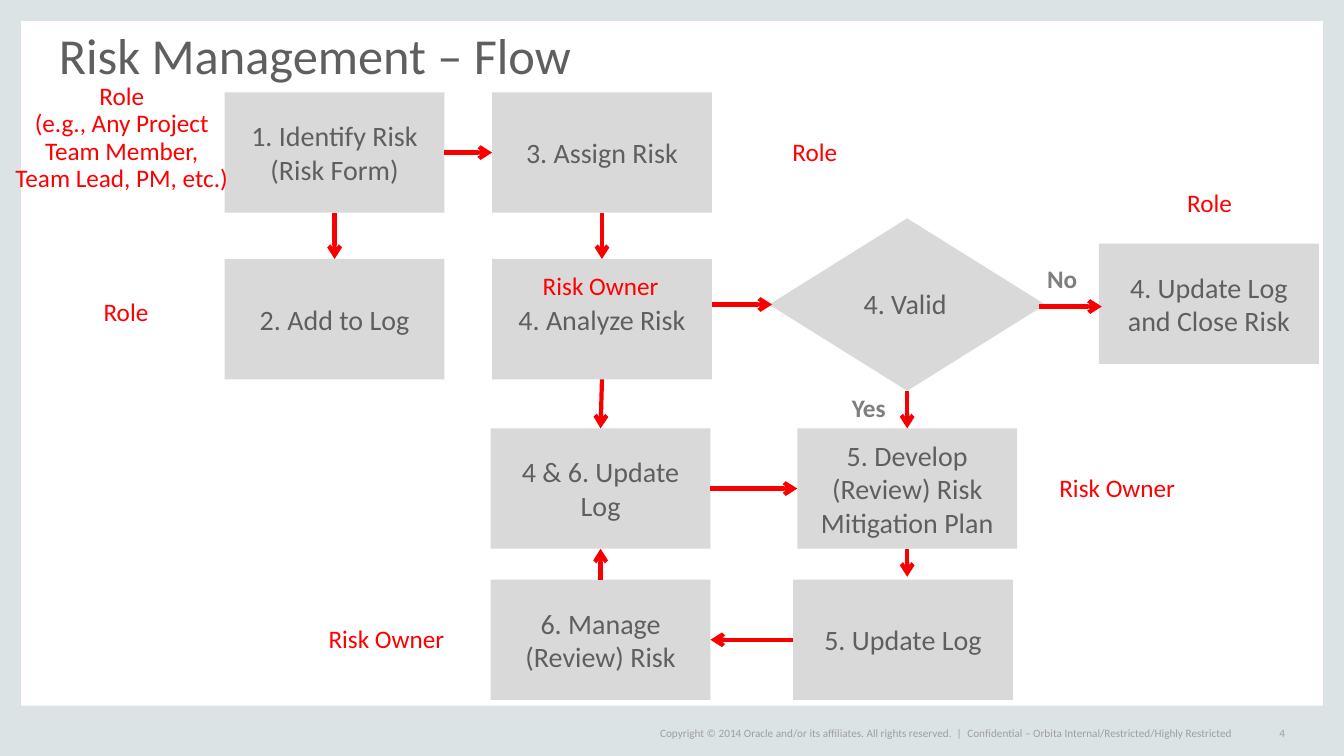
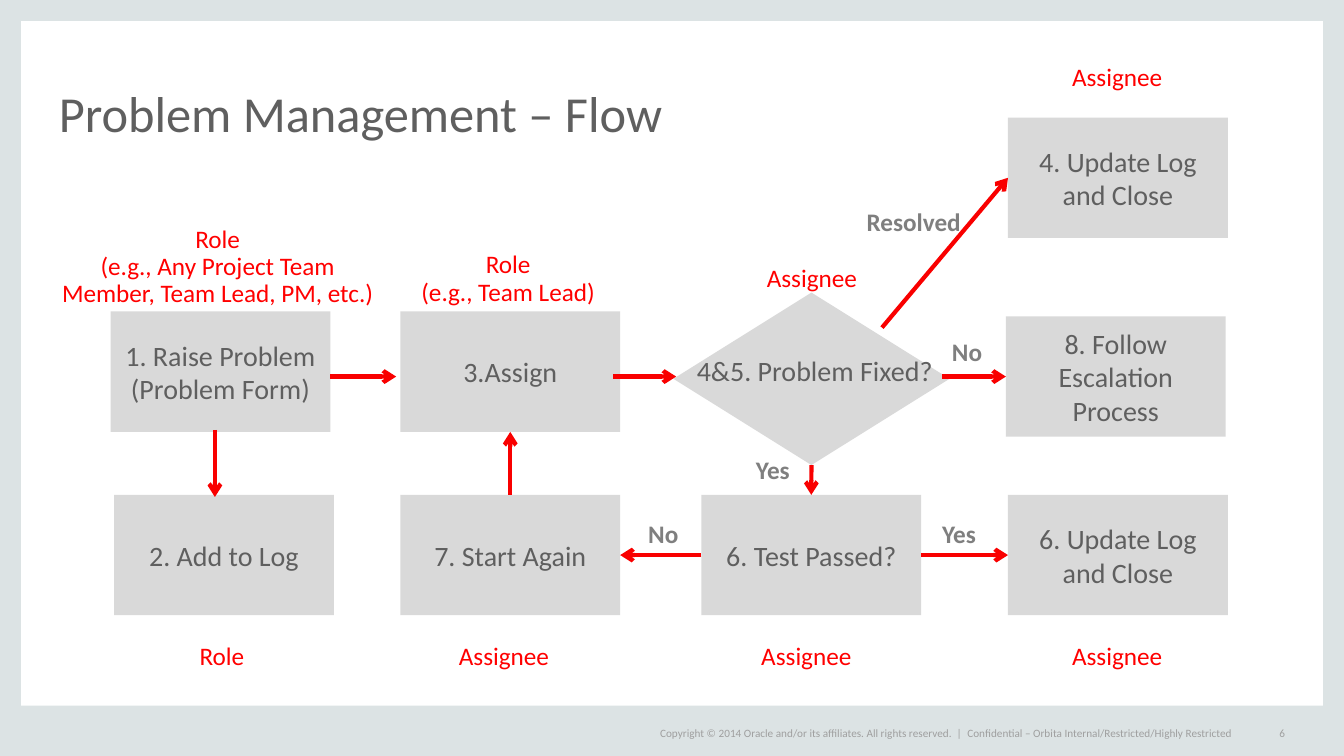
from pptx import Presentation
from pptx.dml.color import RGBColor
from pptx.enum.shapes import MSO_CONNECTOR, MSO_SHAPE
from pptx.enum.text import MSO_ANCHOR as ANCHOR, PP_ALIGN as ALIGN
from pptx.oxml.ns import qn
from pptx.util import Pt
from lxml import etree

COLORS = {
    "band": "DCE3E4", "box": "D9D9D9", "arrow": "F90000", "text": "5F5F5F",
    "role": "FF0000", "branch": "7F7F7F", "footer": "9F9F9F",
}
FONT = "Calibri"
SLIDE_W, SLIDE_H = 960, 540
BOX_W, BOX_H = 157, 86
DIAMOND_W, DIAMOND_H = 197.2, 123.2
TOP, LEFT, BOTTOM, RIGHT = range(4)

BANDS = [
    (0, 0, 15, SLIDE_H),
    (SLIDE_W - 15, 0, 15, SLIDE_H),
    (0, 504, SLIDE_W, 36),
    (0, 0, SLIDE_W, 15),
]
FOOTERS = [
    ("Copyright © 2014 Oracle and/or its affiliates. All rights reserved.  |", 471.5, 219),
    ("Confidential – Orbita Internal/Restricted/Highly Restricted", 691, 197),
]

# boxes: name -> (left, top, text); arrows: ends are (box name, side) or (x, y)
# roles and decision: (centre x, top, text); branches: (left, top, text)
SLIDES = [
    {
        "title": "Risk Management – Flow", "title_bottom": 60, "number": "4",
        "boxes": {
            "identify": (160.5, 66, "1. Identify Risk\n(Risk Form)"),
            "assign": (351.5, 66, "3. Assign Risk"),
            "add": (160.5, 185, "2. Add to Log"),
            "analyze": (351.5, 185, "4. Analyze Risk"),
            "close": (785, 174, "4. Update Log and Close Risk"),
            "update": (350.5, 306, "4 & 6. Update Log"),
            "develop": (569.5, 306, "5. Develop (Review) Risk Mitigation Plan"),
            "manage": (350.5, 414, "6. Manage (Review) Risk"),
            "log": (566.5, 414, "5. Update Log"),
        },
        "diamond": (549.4, 156),
        "decision": (646.5, 207.5, "4. Valid"),
        "arrows": [
            (("identify", RIGHT), ("assign", LEFT)),
            (("identify", BOTTOM), ("add", TOP)),
            (("assign", BOTTOM), ("analyze", TOP)),
            ((508.5, 217.5), (551.5, 217.5)),
            ((742, 219), (787, 219)),
            (("diamond", BOTTOM), ("develop", TOP)),
            (("analyze", BOTTOM), ("update", TOP)),
            (("update", RIGHT), ("develop", LEFT)),
            (("develop", BOTTOM), (648, 412)),
            (("log", LEFT), ("manage", RIGHT)),
            (("manage", TOP), ("update", BOTTOM)),
        ],
        "branches": [(608.5, 280, "Yes"), (748, 188, "No")],
        "roles": [
            (87, 60, "Role\n(e.g., Any Project\nTeam Member,\nTeam Lead, PM, etc.)"),
            (582, 100, "Role"),
            (864, 136, "Role"),
            (90, 214, "Role"),
            (429, 195.5, "Risk Owner"),
            (798, 340, "Risk Owner"),
            (276, 448, "Risk Owner"),
        ],
    },
    {
        "title": "Problem Management – Flow", "title_bottom": 101.5, "number": "6",
        "boxes": {
            "raise": (79, 222.5, "1. Raise Problem\n(Problem Form)"),
            "assign": (286, 222.5, "3.Assign"),
            "escalate": (718.5, 226, "8. Follow Escalation Process"),
            "resolved": (720, 84, "4. Update Log and Close"),
            "add": (81.5, 353.5, "2. Add to Log"),
            "again": (286, 353.5, "7. Start Again"),
            "test": (501, 353.5, "6. Test Passed?"),
            "passed": (720, 353.5, "6. Update Log and Close"),
        },
        "diamond": (481, 209),
        "decision": (582, 255, "4&5. Problem Fixed?"),
        "arrows": [
            ((236, 269), (283, 269)),
            ((438, 269), (483, 269)),
            ((153.5, 307), (153.5, 355)),
            ((673, 269), ("escalate", LEFT)),
            ((630, 234), ("resolved", LEFT)),
            (("diamond", BOTTOM), ("test", TOP)),
            (("test", RIGHT), ("passed", LEFT)),
            (("test", LEFT), ("again", RIGHT)),
            (("again", TOP), ("assign", BOTTOM)),
        ],
        "branches": [
            (540, 324.5, "Yes"), (680, 240, "No"), (619, 147.5, "Resolved"),
            (463, 370.5, "No"), (673, 370.5, "Yes"),
        ],
        "roles": [
            (155.5, 162, "Role\n(e.g., Any Project Team\nMember, Team Lead, PM, etc.)"),
            (363, 180, "Role\n(e.g., Team Lead)"),
            (798, 46, "Assignee"),
            (580, 190, "Assignee"),
            (158.5, 460, "Role"),
            (360, 460, "Assignee"),
            (576, 460, "Assignee"),
            (798, 460, "Assignee"),
        ],
    },
]


def write(sp, text, size, color, align=ALIGN.LEFT, anchor=ANCHOR.TOP,
          spacing=1.0, bold=False, inset=0, wrap=False):
    """Put text into a shape or text box, one paragraph per line."""
    tf = sp.text_frame
    tf.word_wrap, tf.vertical_anchor = wrap, anchor
    tf.margin_left = tf.margin_right = Pt(inset)
    tf.margin_top = tf.margin_bottom = Pt(inset / 2)
    tf.text = text
    for p in tf.paragraphs:
        p.alignment, p.line_spacing = align, spacing
        p.font.name, p.font.size, p.font.bold = FONT, Pt(size), bold
        p.font.color.rgb = RGBColor.from_string(COLORS[color])


def add_block(slide, kind, x, y, w, h, color):
    sp = slide.shapes.add_shape(kind, Pt(x), Pt(y), Pt(w), Pt(h))
    sp.shadow.inherit = False
    sp.fill.solid()
    sp.fill.fore_color.rgb = RGBColor.from_string(COLORS[color])
    sp.line.fill.background()
    return sp


prs = Presentation()
prs.slide_width, prs.slide_height = Pt(SLIDE_W), Pt(SLIDE_H)

for page in SLIDES:
    s = prs.slides.add_slide(prs.slide_layouts[6])

    # Bands, title and footer
    for band in BANDS:
        add_block(s, MSO_SHAPE.RECTANGLE, *band, "band")
    title = s.shapes.add_textbox(Pt(42), Pt(page["title_bottom"] - 42), Pt(876), Pt(42))
    write(title, page["title"], 36, "text", anchor=ANCHOR.BOTTOM, spacing=0.8, wrap=True)
    for text, x, w in FOOTERS:
        footer = s.shapes.add_textbox(Pt(x), Pt(516.5), Pt(w), Pt(14.5))
        write(footer, text, 8, "footer", anchor=ANCHOR.MIDDLE)
    number = s.shapes.add_textbox(Pt(888), Pt(516.5), Pt(30), Pt(14.5))
    write(number, page["number"], 8, "footer", ALIGN.RIGHT, ANCHOR.MIDDLE)

    # Steps and decision
    nodes = {}
    for name, (x, y, text) in page["boxes"].items():
        sp = add_block(s, MSO_SHAPE.RECTANGLE, x, y, BOX_W, BOX_H, "box")
        write(sp, text, 20, "text", ALIGN.CENTER, ANCHOR.MIDDLE, inset=7.2, wrap=True)
        nodes[name] = sp
    nodes["diamond"] = add_block(s, MSO_SHAPE.DIAMOND, *page["diamond"],
                                 DIAMOND_W, DIAMOND_H, "box")

    # Arrows
    for start, end in page["arrows"]:
        line = s.shapes.add_connector(MSO_CONNECTOR.STRAIGHT, 0, 0, 0, 0)
        if start[0] in nodes:
            line.begin_connect(nodes[start[0]], start[1])
        else:
            line.begin_x, line.begin_y = Pt(start[0]), Pt(start[1])
        if end[0] in nodes:
            line.end_connect(nodes[end[0]], end[1])
        else:
            line.end_x, line.end_y = Pt(end[0]), Pt(end[1])
        line.line.color.rgb = RGBColor.from_string(COLORS["arrow"])
        line.line.width = Pt(3)
        etree.SubElement(line.line._get_or_add_ln(), qn("a:tailEnd"), type="arrow")
        etree.SubElement(line._element.spPr, qn("a:effectLst"))

    # Labels, each box wide enough for its longest line
    centred = [(page["decision"], 20, "text")]
    centred += [(role, 18, "role") for role in page["roles"]]
    for (x, y, text), size, color in centred:
        lines = text.split("\n")
        w = max(len(line_text) for line_text in lines) * size * 0.42 + 16
        h = len(lines) * size * 1.1
        label = s.shapes.add_textbox(Pt(x - w / 2), Pt(y), Pt(w), Pt(h))
        write(label, text, size, color, ALIGN.CENTER, spacing=0.9)
    for x, y, text in page["branches"]:
        label = s.shapes.add_textbox(Pt(x), Pt(y), Pt(len(text) * 9 + 12), Pt(22))
        write(label, text, 18, "branch", bold=True)

prs.save("out.pptx")
